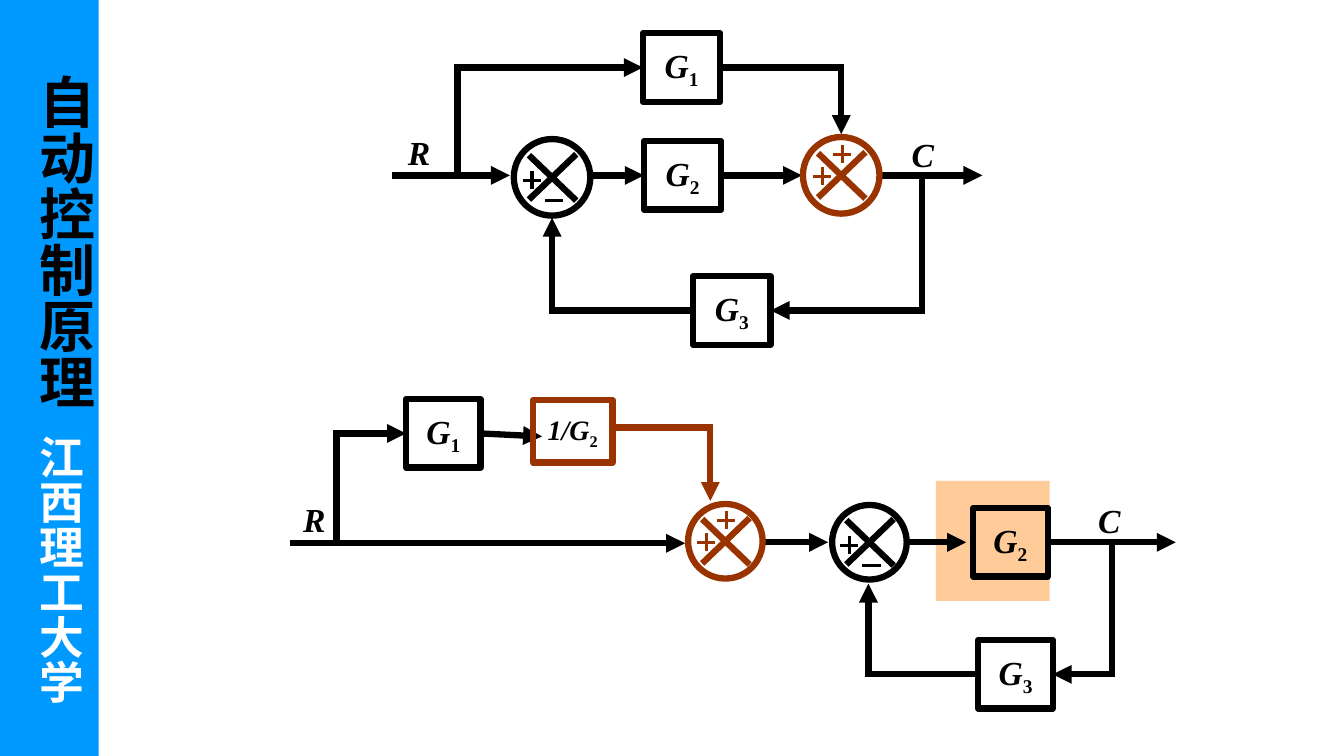
"""Builds a slide with two equivalent control block diagrams beside a vertical course banner."""
import itertools

import pptx
import pptx.dml.color
import pptx.enum.shapes
import pptx.enum.text
import pptx.oxml.ns
import pptx.util
import lxml.etree

COLUMNS, ROWS = 1334, 750
CELL = pptx.util.Inches(7.5) // ROWS
BLACK, BROWN, WHITE = "000000", "993300", "FFFFFF"
THICK, THIN = 4.5, 2.25
LATIN, CHINESE = "Times New Roman", "Noto Sans CJK SC"
TOP, LEFT, RIGHT = 0, 1, 3

BANNER = ((0, 0, 98, ROWS), "0099FF")
HIGHLIGHT = ((929, 477, 113, 119), "FFCC99")
COURSE = ("自动控制原理", (20, 74, 90, 350), 40, BLACK, CHINESE)
UNIVERSITY = ("江西理工大学", (25, 432, 70, 285), 32, WHITE, "Arial")

BLOCKS = {
    "upper 1": ("G", "1", (638, 33, 77, 68), 24, BLACK),
    "upper 2": ("G", "2", (639, 140, 77, 68), 24, BLACK),
    "upper 3": ("G", "3", (688, 274, 77, 68), 24, BLACK),
    "lower 1": ("G", "1", (403, 396, 74, 68), 24, BLACK),
    "lower 2": ("G", "2", (966, 504, 74, 68), 24, BLACK),
    "lower 3": ("G", "3", (971, 635, 74, 68), 24, BLACK),
    "inverse": ("1/G", "2", (529, 397, 79, 62), 20, BROWN),
}
SIGNALS = [("R", 405, 131), ("C", 905, 133), ("R", 301, 495), ("C", 1090, 496)]

FEEDBACK_SIGNS = [("−", 2, 23), ("+", -20, 3)]
FORWARD_SIGNS = [("+", -19, 1), ("+", 1, -21)]
SUMMERS = [
    (548, 176, 38, BLACK, FEEDBACK_SIGNS),
    (835, 174, 38, BROWN, FORWARD_SIGNS),
    (863, 538, 37, BLACK, FEEDBACK_SIGNS),
    (720, 537, 37, BROWN, FORWARD_SIGNS),
]

ROUTES = [
    (BLACK, [(392, 174), (506, 174)]),
    (BLACK, [(454, 174), (454, 67), ("upper 1", LEFT)]),
    (BLACK, [("upper 1", RIGHT), (835, 67), (835, 133)]),
    (BLACK, [(587, 174), ("upper 2", LEFT)]),
    (BLACK, [("upper 2", RIGHT), (796, 174)]),
    (BLACK, [(874, 174), (975, 174)]),
    (BLACK, [(915, 174), (915, 308), ("upper 3", RIGHT)]),
    (BLACK, [("upper 3", LEFT), (548, 308), (548, 216)]),
    (BLACK, [(291, 539), (680, 539)]),
    (BLACK, [(334, 539), (334, 430), ("lower 1", LEFT)]),
    (BLACK, [("lower 1", RIGHT), (538, 433)]),
    (BROWN, [(612, 424), (705, 424), (705, 497)]),
    (BLACK, [(759, 538), (822, 538)]),
    (BLACK, [(900, 538), (959, 538)]),
    (BLACK, [("lower 2", RIGHT), (1167, 538)]),
    (BLACK, [(1104, 538), (1104, 669), ("lower 3", RIGHT)]),
    (BLACK, [("lower 3", LEFT), (862, 669), (862, 579)]),
]

FRAME = {"margin_left": 0, "margin_right": 0, "margin_top": 0, "margin_bottom": 0,
         "word_wrap": True, "auto_size": pptx.enum.text.MSO_AUTO_SIZE.NONE}


def rgb(code):
    return pptx.dml.color.RGBColor.from_string(code)


def cells(lengths):
    return [round(length * CELL) for length in lengths]


def apply(target, values):
    for name, value in values.items():
        setattr(target, name, value)


def add_outline(slide, preset, place, fill=None, line=None):
    shape = slide.shapes.add_shape(preset, *cells(place))
    shape.shadow.inherit = False
    if fill:
        shape.fill.solid()
        shape.fill.fore_color.rgb = rgb(fill)
    else:
        shape.fill.background()
    if line:
        shape.line.color.rgb = rgb(line)
        shape.line.width = pptx.util.Pt(THICK)
    else:
        shape.line.fill.background()
    return shape


def add_run(paragraph, text, size, color=BLACK, font=LATIN, italic=False):
    run = paragraph.add_run()
    run.text = text
    apply(run.font, {"size": pptx.util.Pt(size), "bold": True, "italic": italic, "name": font})
    run.font.color.rgb = rgb(color)
    return run


def add_line(slide, start, end, color, width):
    line = slide.shapes.add_connector(
        pptx.enum.shapes.MSO_CONNECTOR.STRAIGHT, *cells((*start, *end)))
    line.line.color.rgb = rgb(color)
    line.line.width = pptx.util.Pt(width)
    lxml.etree.SubElement(line.element.spPr, pptx.oxml.ns.qn("a:effectLst"))
    return line


def add_route(slide, blocks, color, stops):
    def point(stop):
        if stop[0] not in blocks:
            return stop
        left, top, width, height = BLOCKS[stop[0]][2]
        return left + (width if stop[1] == RIGHT else 0), top + height / 2

    for start, end in itertools.pairwise(stops):
        wire = add_line(slide, point(start), point(end), color, THICK)
        if start[0] in blocks:
            wire.begin_connect(blocks[start[0]], start[1])
        if end[0] in blocks:
            wire.end_connect(blocks[end[0]], end[1])
        stroke = wire.line._get_or_add_ln()
        stroke.set("cap", "sq")
    lxml.etree.SubElement(stroke, pptx.oxml.ns.qn("a:tailEnd"), type="triangle")


def add_summer(slide, x, y, radius, color, signs):
    circle = pptx.enum.shapes.MSO_SHAPE.OVAL
    add_outline(slide, circle, (x - radius, y - radius, 2 * radius, 2 * radius), line=color)
    for slope in (1, -1):
        add_line(slide, (x - 23, y - 22 * slope), (x + 24, y + 23 * slope), color, THICK)
    for sign, across, down in signs:
        sign_x, sign_y = x + across, y + down
        add_line(slide, (sign_x - 9, sign_y), (sign_x + 9, sign_y), color, THIN)
        if sign == "+":
            add_line(slide, (sign_x, sign_y - 9), (sign_x, sign_y + 9), color, THIN)


def add_block(slide, name, index, place, size, color):
    block = add_outline(slide, pptx.enum.shapes.MSO_SHAPE.RECTANGLE, place, line=color)
    apply(block.text_frame, {**FRAME, "vertical_anchor": pptx.enum.text.MSO_ANCHOR.MIDDLE})
    paragraph = block.text_frame.paragraphs[0]
    paragraph.alignment = pptx.enum.text.PP_ALIGN.CENTER
    add_run(paragraph, name, size, italic=True)
    subscript = add_run(paragraph, index, size)
    subscript.font._element.set("baseline", "-25000")
    return block


def write_vertical(shape, text, place, size, color, font):
    apply(shape, dict(zip(("left", "top", "width", "height"), cells(place))))
    apply(shape.text_frame, {**FRAME, "vertical_anchor": pptx.enum.text.MSO_ANCHOR.MIDDLE})
    shape.text_frame._txBody.bodyPr.set("vert", "eaVert")
    paragraph = shape.text_frame.paragraphs[0]
    apply(paragraph, {"alignment": pptx.enum.text.PP_ALIGN.LEFT, "line_spacing": 1.0})
    run = add_run(paragraph, text, size, color, font)
    lxml.etree.SubElement(run.font._element, pptx.oxml.ns.qn("a:ea"), typeface=CHINESE)


def main():
    deck = pptx.Presentation()
    apply(deck, {"slide_width": COLUMNS * CELL, "slide_height": ROWS * CELL})
    slide = deck.slides.add_slide(deck.slide_layouts[5])
    for place, fill in (BANNER, HIGHLIGHT):
        add_outline(slide, pptx.enum.shapes.MSO_SHAPE.RECTANGLE, place, fill=fill)
    write_vertical(slide.shapes.title, *COURSE)
    write_vertical(slide.shapes.add_textbox(0, 0, CELL, CELL), *UNIVERSITY)
    title = slide.shapes.title.element
    title.getparent().append(title)

    blocks = {key: add_block(slide, *block) for key, block in BLOCKS.items()}
    for color, stops in ROUTES:
        add_route(slide, blocks, color, stops)
    inverse = blocks["inverse"].element
    inverse.getparent().append(inverse)
    for summer in SUMMERS:
        add_summer(slide, *summer)
    for signal, x, y in SIGNALS:
        label = slide.shapes.add_textbox(*cells((x, y, 30, 40)))
        apply(label.text_frame, FRAME)
        add_run(label.text_frame.paragraphs[0], signal, 24, italic=True)
    deck.save("out.pptx")


if __name__ == "__main__":
    main()
